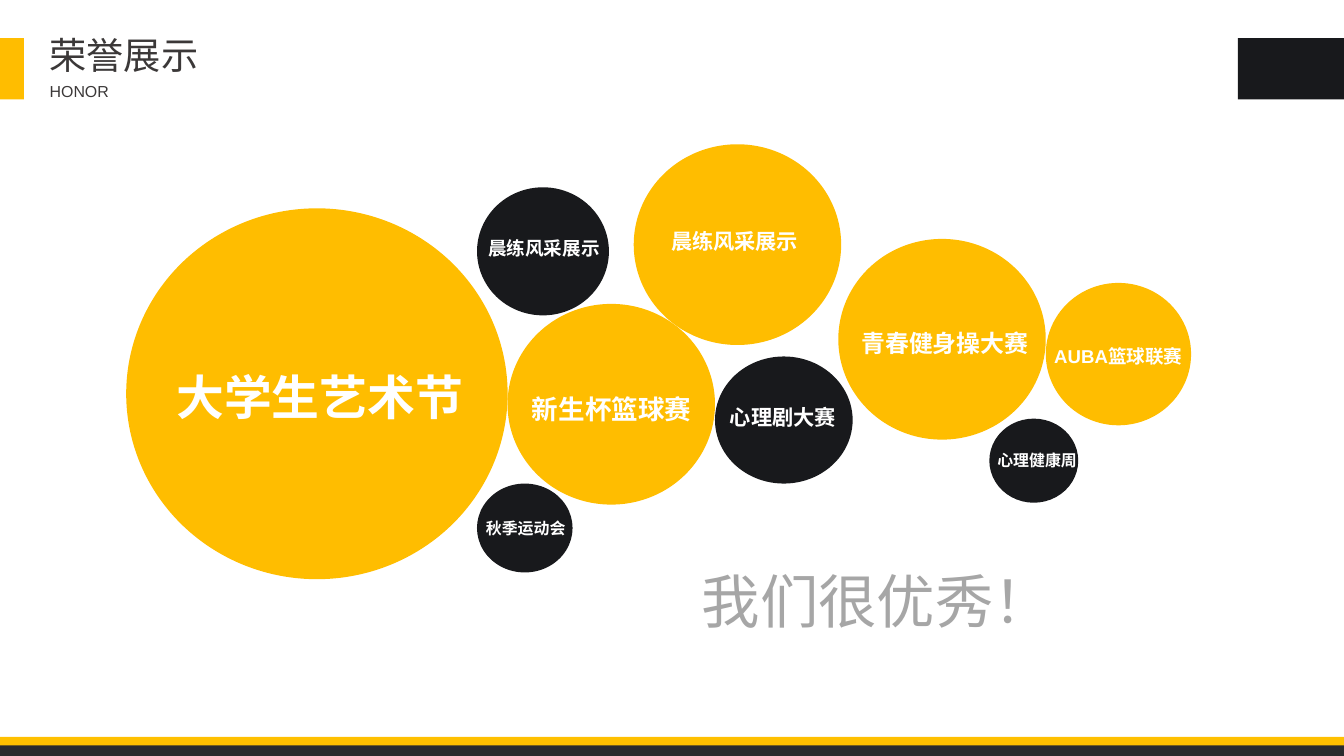
import dataclasses

import lxml.etree
import pptx
import pptx.dml.color
import pptx.enum.shapes
import pptx.enum.text
import pptx.oxml.ns
import pptx.util

Inches = pptx.util.Inches
Align = pptx.enum.text.PP_ALIGN
Shapes = pptx.enum.shapes.MSO_SHAPE


@dataclasses.dataclass(frozen=True)
class Theme:
    """Colours, fonts and type sizes of the slide."""

    yellow: str = "FFBD00"
    black: str = "18191C"
    footer_yellow: str = "FFC000"
    footer_gray: str = "2A2B2D"
    white: str = "FFFFFF"
    heading: str = "3B3838"
    slogan: str = "A6A6A6"
    latin: str = "Arial"
    chinese: str = "Noto Sans CJK SC"
    title_size: int = 28
    subtitle_size: int = 12
    slogan_size: int = 44
    label_sizes: tuple = (12, 14, 16, 18, 20, 36)


THEME = Theme()
TINY, SMALL, MEDIUM, LARGE, XLARGE, HUGE = THEME.label_sizes
WIDTH, HEIGHT = 14.06, 7.91

BUBBLES = [
    ("大学生艺术节", HUGE, THEME.yellow, (0, 0.67, 3.99, 3.88), (0.41, 2.17, 3.23, 0.77)),
    ("晨练风采展示", SMALL, THEME.black, (3.67, 0.45, 1.38, 1.34), (3.68, 0.87, 1.38, 0.36)),
    ("新生杯篮球赛", XLARGE, THEME.yellow, (3.99, 1.67, 2.17, 2.1), (4.14, 2.49, 1.88, 0.47)),
    ("秋季运动会", TINY, THEME.black, (3.67, 3.55, 1, 0.93), (3.66, 3.83, 1.04, 0.32)),
    ("晨练风采展示", MEDIUM, THEME.yellow, (5.31, 0, 2.17, 2.1), (5.59, 0.78, 1.55, 0.4)),
    ("心理剧大赛", MEDIUM, THEME.black, (6.16, 2.22, 1.44, 1.33), (6.21, 2.62, 1.32, 0.4)),
    ("青春健身操大赛", LARGE, THEME.yellow, (7.45, 0.99, 2.17, 2.1), (7.58, 1.82, 1.97, 0.43)),
    ("心理健康周", TINY, THEME.black, (9.03, 2.87, 0.93, 0.88), (9.01, 3.12, 1.04, 0.32)),
    ("AUBA篮球联赛", SMALL, THEME.yellow, (9.62, 1.45, 1.52, 1.49), (9.6, 2, 1.56, 0.36)),
]
WRAPPED_LABEL = "AUBA篮球联赛"


def set_all(target, values):
    """Set every attribute of the dict on the target."""
    for name, value in values.items():
        setattr(target, name, value)


def place(box, part):
    """Return the lengths of a part given relative to its box."""
    left, top, width, height = part
    return [Inches(value) for value in (box[0] + left, box[1] + top, width, height)]


def add_block(slide, kind, lengths, color):
    """Add a plain filled shape."""
    shape = slide.shapes.add_shape(kind, *lengths)
    shape.shadow.inherit = False
    shape.fill.solid()
    shape.fill.fore_color.rgb = pptx.dml.color.RGBColor.from_string(color)
    shape.line.fill.background()


def write(shape, text, size, color, font=THEME.latin, bold=False,
          align=Align.LEFT, spacing=1.0, wrap=False, insets=(0.1, 0.05)):
    """Write one formatted paragraph into a shape."""
    frame = shape.text_frame
    side, edge = map(Inches, insets)
    set_all(frame, {
        "word_wrap": wrap,
        "auto_size": pptx.enum.text.MSO_AUTO_SIZE.NONE,
        "vertical_anchor": pptx.enum.text.MSO_ANCHOR.TOP,
        "margin_left": side, "margin_right": side,
        "margin_top": edge, "margin_bottom": edge,
    })
    paragraph = frame.paragraphs[0]
    set_all(paragraph, {"alignment": align, "line_spacing": spacing})
    run = paragraph.add_run()
    run.text = text
    run.font.color.rgb = pptx.dml.color.RGBColor.from_string(color)
    set_all(run.font, {"size": pptx.util.Pt(size), "bold": bold, "name": font})
    east_asian = lxml.etree.SubElement(run._r.get_or_add_rPr(), pptx.oxml.ns.qn("a:ea"))
    east_asian.set("typeface", THEME.chinese)


def add_footer(slide, box):
    """Draw the dark and yellow strips along the bottom."""
    add_block(slide, Shapes.RECTANGLE, place(box, (0, 0.04, box[2], box[3] - 0.04)), THEME.footer_gray)
    add_block(slide, Shapes.RECTANGLE, place(box, (0, 0, box[2], 0.09)), THEME.footer_yellow)


def add_header(slide, box):
    """Place the title, the subtitle and the two side blocks."""
    for left, width, color in ((0, 0.25, THEME.yellow), (box[2] - 1.11, 1.11, THEME.black)):
        add_block(slide, Shapes.RECTANGLE, place(box, (left, 0.11, width, 0.64)), color)
    title = slide.shapes.title
    set_all(title, dict(zip(("left", "top", "width", "height"), place(box, (0.41, 0, 1.78, 0.58)))))
    write(title, "荣誉展示", THEME.title_size, THEME.heading, THEME.chinese, insets=(0.11, 0.05))
    subtitle = slide.shapes.add_textbox(*place(box, (0.41, 0.51, 0.84, 0.31)))
    write(subtitle, "HONOR", THEME.subtitle_size, THEME.heading, insets=(0.11, 0.05))


def add_bubbles(slide, box):
    """Draw the cluster of labelled circles."""
    for text, size, color, circle, label in BUBBLES:
        add_block(slide, Shapes.OVAL, place(box, circle), color)
        write(slide.shapes.add_textbox(*place(box, label)), text, size, THEME.white,
              bold=True, align=Align.CENTER, spacing=1.2, wrap=text == WRAPPED_LABEL)


def add_slogan(slide, box):
    """Write the slogan below the circles."""
    textbox = slide.shapes.add_textbox(*map(Inches, box))
    write(textbox, "我们很优秀！", THEME.slogan_size, THEME.slogan,
          align=Align.JUSTIFY, spacing=1.2, wrap=True, insets=(0, 0))


def main():
    """Build and save the slide."""
    presentation = pptx.Presentation()
    set_all(presentation, {"slide_width": Inches(WIDTH), "slide_height": Inches(HEIGHT)})
    slide = presentation.slides.add_slide(presentation.slide_layouts[5])
    add_footer(slide, (0, 7.71, WIDTH, 0.2))
    add_bubbles(slide, (1.32, 1.51, 11.14, 4.55))
    add_slogan(slide, (7.34, 5.77, 3.73, 0.81))
    add_header(slide, (0, 0.29, WIDTH, 0.82))
    presentation.save("out.pptx")


if __name__ == "__main__":
    main()
